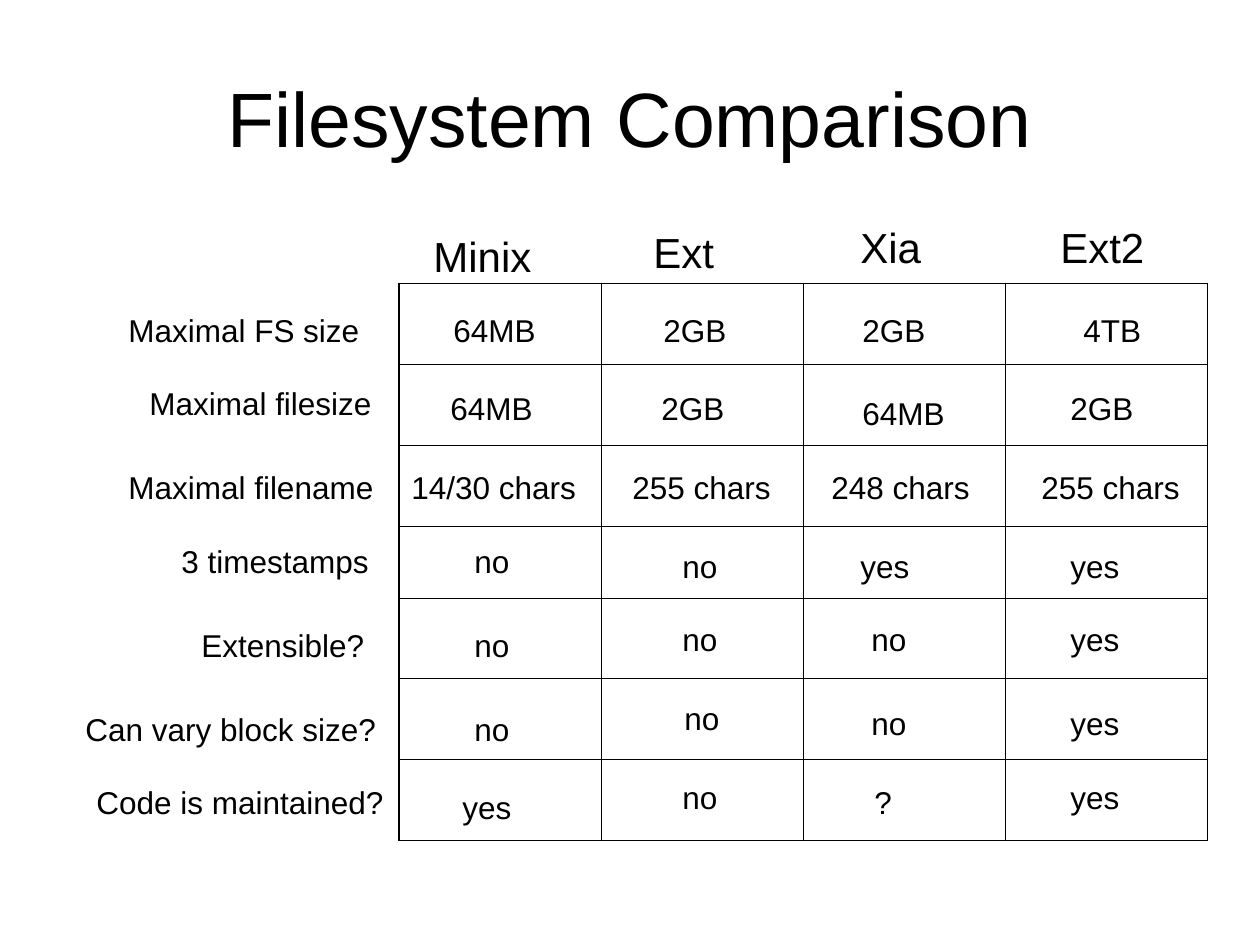
from lxml import etree
from pptx import Presentation
from pptx import util as u
from pptx.dml.color import RGBColor
from pptx.enum import text
from pptx.oxml.ns import qn

PX = u.Inches(1) / 126
COLORS = {"ink": "000000", "paper": "FFFFFF"}
THIN, THICK = 0.45, 1.08
COL_W = 202
ROW_H = [81, 81, 81, 72, 81, 81, 81]

# Box widths of the short values, with a little slack so that no line breaks
WIDTHS = {"64MB": 111, "2GB": 92, "4TB": 87, "14/30 chars": 193, "255 chars": 168,
          "248 chars": 168, "no": 64, "yes": 78, "?": 47}
# (text, left, top, width)
HEADINGS = [("Minix", 421, 224, 127), ("Ext", 641, 220, 90),
            ("Xia", 848, 215, 90), ("Ext2", 1048, 215, 112)]
FEATURES = [("Maximal FS size", 116, 305, 260), ("Maximal filesize", 137, 378, 251),
            ("Maximal filename", 116, 462, 274), ("3 timestamps", 169, 536, 216),
            ("Extensible?", 189, 620, 192), ("Can vary block size?", 73, 704, 319),
            ("Code is maintained?", 84, 777, 316)]
# (text, left, top), one row per feature
VALUES = [
    [("64MB", 441, 305), ("2GB", 651, 305), ("2GB", 850, 305), ("4TB", 1071, 305)],
    [("64MB", 438, 383), ("2GB", 649, 383), ("64MB", 850, 388), ("2GB", 1058, 383)],
    [("14/30 chars", 399, 462), ("255 chars", 620, 462), ("248 chars", 819, 462),
     ("255 chars", 1029, 462)],
    [("no", 462, 536), ("no", 670, 541), ("yes", 848, 541), ("yes", 1058, 541)],
    [("no", 462, 620), ("no", 670, 614), ("no", 859, 614), ("yes", 1058, 614)],
    [("no", 462, 704), ("no", 672, 693), ("no", 859, 698), ("yes", 1058, 698)],
    [("yes", 450, 782), ("no", 670, 772), ("?", 862, 777), ("yes", 1058, 772)],
]


def px(n):
    return u.Emu(round(n * PX))


def add_text(words, x, y, w, h=50, size=18, wrap=False,
             align=text.PP_ALIGN.LEFT, anchor=text.MSO_ANCHOR.TOP):
    sp = s.shapes.add_textbox(px(x), px(y), px(w), px(h))
    tf = sp.text_frame
    tf.word_wrap = wrap
    tf.vertical_anchor = anchor
    tf.auto_size = text.MSO_AUTO_SIZE.NONE
    p = tf.paragraphs[0]
    p.alignment = align
    r = p.add_run()
    r.text = words
    r.font.name = "Arial"
    r.font.size = u.Pt(size)
    r.font.color.rgb = RGBColor.from_string(COLORS["ink"])


prs = Presentation()
prs.slide_width, prs.slide_height = u.Inches(10), u.Inches(7.5)
s = prs.slides.add_slide(prs.slide_layouts[6])
s.background.fill.solid()
s.background.fill.fore_color.rgb = RGBColor.from_string(COLORS["paper"])

add_text("Filesystem Comparison", 63, 38, 1134, 158, size=44, wrap=True,
         align=text.PP_ALIGN.CENTER, anchor=text.MSO_ANCHOR.MIDDLE)

rows, cols = len(ROW_H), len(HEADINGS)
table = s.shapes.add_table(rows, cols, px(399), px(283),
                           px(COL_W * cols), px(sum(ROW_H))).table
table.first_row = table.horz_banding = False
for col in table.columns:
    col.width = px(COL_W)
for i, height in enumerate(ROW_H):
    table.rows[i].height = px(height)
    for j in range(cols):
        cell = table.cell(i, j)
        tcPr = cell._tc.get_or_add_tcPr()
        for side in "LRTB":
            width = u.Pt(THICK if side == "L" and j == 0 else THIN)
            ln = etree.SubElement(tcPr, qn(f"a:ln{side}"), w=str(width))
            fill = etree.SubElement(ln, qn("a:solidFill"))
            etree.SubElement(fill, qn("a:srgbClr"), val=COLORS["ink"])
        cell.fill.background()

for words, x, y, w in HEADINGS:
    add_text(words, x, y, w, 63, size=24)
for feature, values in zip(FEATURES, VALUES):
    add_text(*feature)
    for words, x, y in values:
        add_text(words, x, y, WIDTHS[words])

prs.save("out.pptx")
